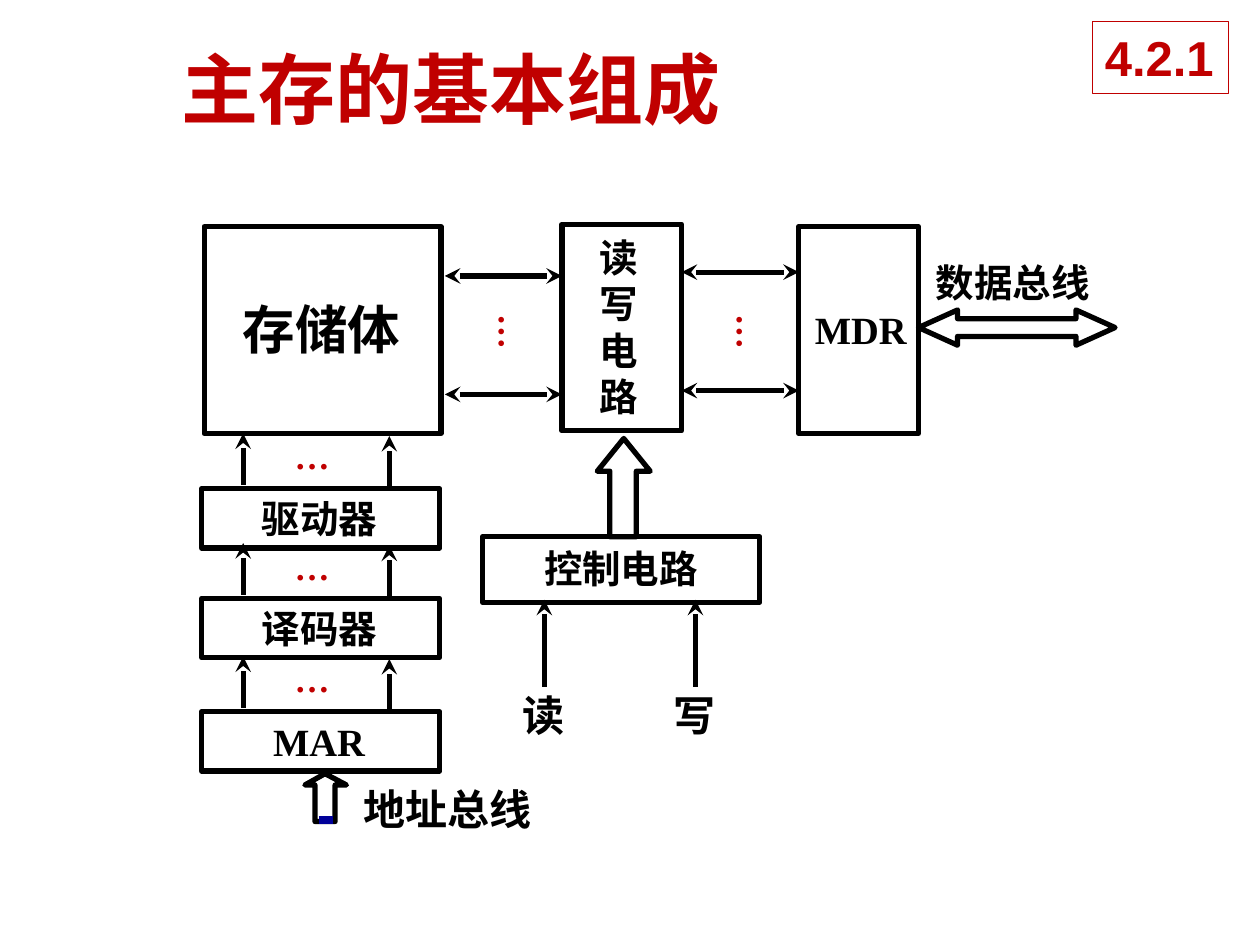
"""Build the slide on the basic make-up of main memory."""
from lxml import etree
from pptx import Presentation
from pptx.dml.color import RGBColor
from pptx.enum.shapes import MSO_CONNECTOR, MSO_SHAPE
from pptx.enum.text import MSO_ANCHOR, PP_ALIGN
from pptx.oxml.ns import qn
from pptx.util import Pt

RECT = MSO_SHAPE.RECTANGLE
LINE = MSO_CONNECTOR.STRAIGHT
MIDDLE = MSO_ANCHOR.MIDDLE
LEFT = PP_ALIGN.LEFT
INK = {"black": "000000", "red": "C00000", "blue": "000099", "white": "FFFFFF"}
RGB = {name: RGBColor.from_string(code) for name, code in INK.items()}
SANS = "Noto Sans CJK SC"
SERIF = "Times New Roman"
COLS, ROWS = 1000, 750
UNIT = 9144

deck = Presentation()
deck.slide_width = COLS * UNIT
deck.slide_height = ROWS * UNIT
slide = deck.slides.add_slide(deck.slide_layouts[6])
shapes = slide.shapes


def write(x, y, w, h, words, size, ink="black", font=SERIF, wrap=False):
    box = shapes.add_textbox(x * UNIT, y * UNIT, w * UNIT, h * UNIT)
    frame = box.text_frame
    frame.word_wrap = wrap
    frame.text = words
    for para in frame.paragraphs:
        para.alignment = LEFT
        para.font.name = font
        para.font.size = Pt(size)
        para.font.bold = True
        para.font.color.rgb = RGB[ink]
    return box


def link(x1, y1, x2, y2, ends=("tailEnd",), ink="black", width=3):
    wire = shapes.add_connector(LINE, x1 * UNIT, y1 * UNIT, x2 * UNIT, y2 * UNIT)
    wire.line.color.rgb = RGB[ink]
    wire.line.width = Pt(width)
    props = wire.line._get_or_add_ln()
    for end in ends:
        etree.SubElement(props, qn("a:" + end)).set("type", "stealth")
    etree.SubElement(wire._element.spPr, qn("a:effectLst"))


title = write(134, 28, 773, 84, "主存的基本组成", 44, "red", SANS, True)
title.text_frame.vertical_anchor = MIDDLE
font = title.text_frame.paragraphs[0].runs[0].font._element
etree.SubElement(font, qn("a:ea")).set("typeface", SANS)

boxes = [(160, y, 189, 47) for y in (388, 475, 565)]
boxes += [(383, 426, 220, 52), (162, 180, 188, 164)]
boxes += [(446, 178, 95, 164), (634, 180, 95, 164)]
for x, y, w, h in boxes:
    box = shapes.add_shape(RECT, x * UNIT, y * UNIT, w * UNIT, h * UNIT)
    box.shadow.inherit = False
    box.fill.background()
    box.line.color.rgb = RGB["black"]
    box.line.width = Pt(3)

arrows = [
    [(242, 623), (250, 623), (250, 652), (266, 652), (266, 623), (275, 623), (258, 614)],
    [(729, 260), (760, 274), (760, 267), (854, 267), (854, 274),
     (885, 260), (854, 246), (854, 253), (760, 253), (760, 246)],
    [(474, 374), (484, 374), (484, 426), (505, 426), (505, 374), (516, 374), (495, 348)],
]
for dots in arrows:
    path = shapes.build_freeform(*dots[0], scale=UNIT)
    path.add_line_segments(dots[1:], close=True)
    arrow = path.convert_to_shape()
    arrow.shadow.inherit = False
    arrow.fill.background()
    arrow.line.color.rgb = RGB["black"]
    arrow.line.width = Pt(3)

labels = [
    (183, 231, 146, 60, "存储体", 30),
    (198, 388, 112, 47, "驱动器", 22),
    (198, 475, 112, 47, "译码器", 22),
    (207, 565, 93, 47, "MAR", 22),
    (422, 428, 143, 47, "控制电路", 22),
    (637, 238, 93, 47, "MDR", 22),
    (279, 617, 154, 50, "地址总线", 24),
    (733, 201, 143, 47, "数据总线", 22),
    (405, 542, 54, 50, "读", 24),
    (525, 542, 54, 50, "写", 24),
]
for label in labels:
    write(*label)
write(466, 181, 54, 158, "\n".join("读写电路"), 22, wrap=True)

for x, y in ((541, 216), (353, 219)):
    for row in (y, y + 94):
        link(x, row, x + 93, row, ("headEnd", "tailEnd"))
for y in (344, 431, 521):
    link(193, y + 41, 193, y)
    link(309, y + 43, 309, y + 2)
for x in (432, 552):
    link(x, 545, x, 476)
link(253, 651, 264, 651, (), "blue", 4.5)

for x, y, turn in ((224, 340, 0), (224, 428, 0), (224, 517, 0), (357, 234, 270), (546, 234, 270)):
    write(x, y, 63, 43, "…", 20, "red", wrap=True).rotation = turn

badge = write(867, 17, 108, 57, "4.2.1", 28, "red", "Arial")
badge.fill.solid()
badge.fill.fore_color.rgb = RGB["white"]
badge.line.color.rgb = RGB["red"]
badge.line.width = Pt(0.75)

deck.save("out.pptx")
